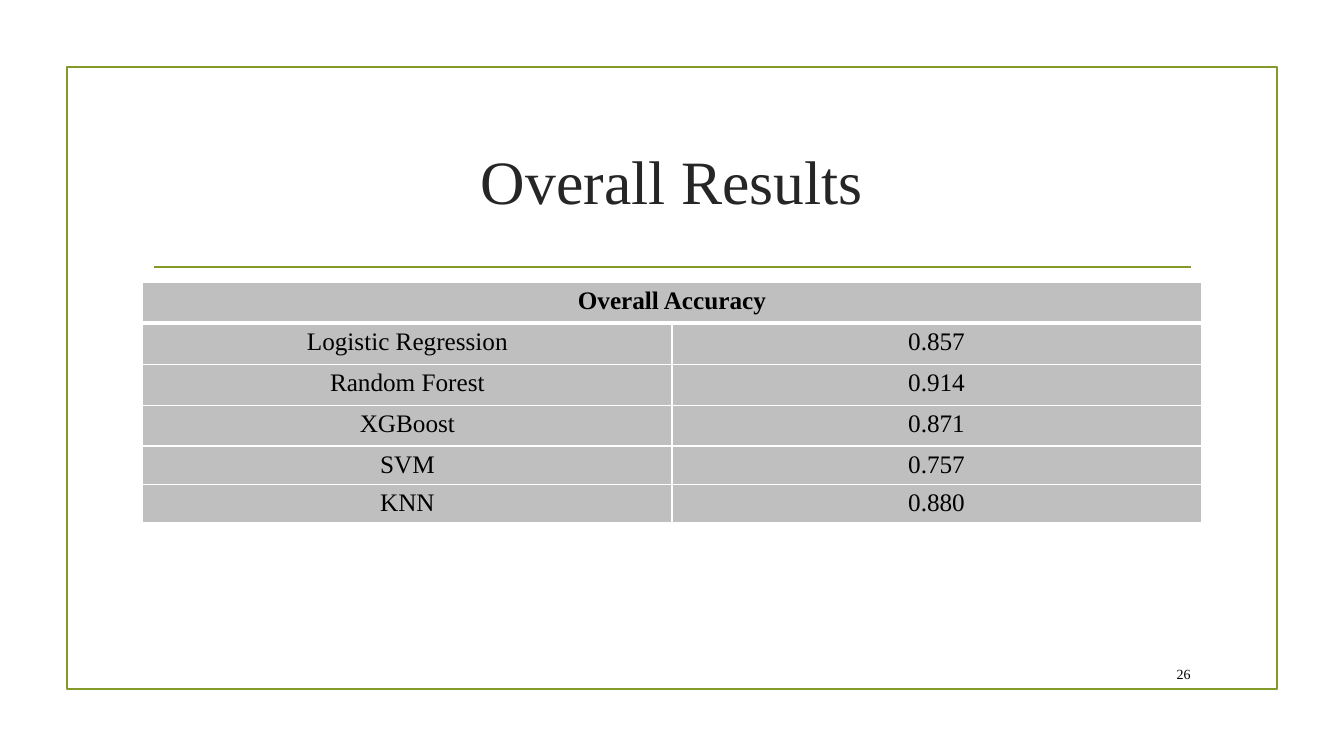
"""Build the overall results slide with its accuracy table."""
from dataclasses import dataclass

from lxml.etree import SubElement
from pptx import Presentation
from pptx.dml.color import RGBColor
from pptx.enum.shapes import MSO_CONNECTOR, MSO_SHAPE
from pptx.enum.text import MSO_ANCHOR, PP_ALIGN
from pptx.oxml.ns import qn
from pptx.util import Inches, Length, Pt

OLIVE = RGBColor(0x83, 0x99, 0x2A)
CHARCOAL = RGBColor(0x26, 0x26, 0x26)
BLACK = RGBColor(0, 0, 0)
SILVER = RGBColor(0xBF, 0xBF, 0xBF)
WHITE = RGBColor(0xFF, 0xFF, 0xFF)
FONT = "Times New Roman"
WIDTH, HEIGHT = Inches(13.33), Inches(7.5)
COLUMNS, ROWS = 160, 90
RULE_WIDTH = Pt(1.25)


@dataclass(frozen=True)
class Box:
    """Area in grid columns and rows."""
    col: float
    row: float
    cols: float
    rows: float

    def emu(self) -> tuple[Length, Length, Length, Length]:
        """Return left, top, width and height."""
        return across(self.col), down(self.row), across(self.cols), down(self.rows)


@dataclass(frozen=True)
class Result:
    """One model with its accuracy and row height."""
    model: str
    accuracy: str
    rows: float


HEADER_ROWS = 4.88
RESULTS = (
    Result("Logistic Regression", "0.857", 4.88),
    Result("Random Forest", "0.914", 4.88),
    Result("XGBoost", "0.871", 4.88),
    Result("SVM", "0.757", 4.56),
    Result("KNN", "0.880", 4.56),
)
FRAME = Box(8, 8, 144, 74)
RULE = Box(18.36, 31.8, 123.4, 0)
TITLE = Box(17, 12.84, 126, 17.16)
TABLE = Box(17, 33.6, 126, HEADER_ROWS + sum(res.rows for res in RESULTS))
NUMBER = Box(135.84, 78.36, 7.08, 3.72)


def across(cols: float) -> Length:
    """Convert grid columns to a length."""
    return Length(round(WIDTH * cols / COLUMNS))


def down(rows: float) -> Length:
    """Convert grid rows to a length."""
    return Length(round(HEIGHT * rows / ROWS))


def write(tf, text: str, size: float, color: RGBColor, align: PP_ALIGN, bold: bool = False) -> None:
    """Fill a text frame with one formatted paragraph."""
    tf.text = text
    tf.word_wrap = True
    p = tf.paragraphs[0]
    p.alignment = align
    font = p.runs[0].font
    font.name, font.size, font.bold = FONT, Pt(size), bold
    font.color.rgb = color


def add_frame(s) -> None:
    """Draw the slide border and the rule under the title."""
    sp = s.shapes.add_shape(MSO_SHAPE.RECTANGLE, *FRAME.emu())
    sp.shadow.inherit = False
    sp.fill.background()
    left, top, width, _ = RULE.emu()
    rule = s.shapes.add_connector(MSO_CONNECTOR.STRAIGHT, left, top, left + width, top)
    for outlined in (sp, rule):
        outlined.line.color.rgb = OLIVE
        outlined.line.width = RULE_WIDTH
    SubElement(rule._element.spPr, qn("a:effectLst"))


def add_title(s) -> None:
    """Place the title placeholder."""
    sp = s.shapes.title
    sp.left, sp.top, sp.width, sp.height = TITLE.emu()
    write(sp.text_frame, "Overall Results", 44, CHARCOAL, PP_ALIGN.CENTER)
    sp.text_frame.vertical_anchor = MSO_ANCHOR.MIDDLE


def style_cell(cell, top: float, bottom: float) -> None:
    """Give a cell its white borders and grey fill."""
    tc_pr = cell._tc.get_or_add_tcPr()
    for side, width in (("L", 1), ("R", 1), ("T", top), ("B", bottom)):
        ln = SubElement(tc_pr, qn(f"a:ln{side}"), w=str(Pt(width)))
        fill = SubElement(ln, qn("a:solidFill"))
        SubElement(fill, qn("a:srgbClr"), val=str(WHITE))
    cell.fill.solid()
    cell.fill.fore_color.rgb = SILVER


def add_results(s) -> None:
    """Draw the accuracy table."""
    table = s.shapes.add_table(len(RESULTS) + 1, 2, *TABLE.emu()).table
    for row, rows in zip(table.rows, (HEADER_ROWS, *(res.rows for res in RESULTS))):
        row.height = down(rows)
    for i, row in enumerate(table.rows):
        for cell in row.cells:
            style_cell(cell, 3 if i == 1 else 1, 3 if i == 0 else 1)
    header = table.cell(0, 0)
    header.merge(table.cell(0, 1))
    write(header.text_frame, "Overall Accuracy", 18, BLACK, PP_ALIGN.CENTER, True)
    for i, res in enumerate(RESULTS, 1):
        for j, text in enumerate((res.model, res.accuracy)):
            write(table.cell(i, j).text_frame, text, 18, BLACK, PP_ALIGN.CENTER)


def add_number(s) -> None:
    """Place the slide number."""
    tf = s.shapes.add_textbox(*NUMBER.emu()).text_frame
    write(tf, "26", 10, BLACK, PP_ALIGN.RIGHT)
    tf.vertical_anchor = MSO_ANCHOR.MIDDLE


def main() -> None:
    """Build and save the presentation."""
    prs = Presentation()
    prs.slide_width, prs.slide_height = WIDTH, HEIGHT
    s = prs.slides.add_slide(prs.slide_layouts[5])
    s.background.fill.solid()
    s.background.fill.fore_color.rgb = WHITE
    add_frame(s)
    add_title(s)
    add_results(s)
    add_number(s)
    prs.save("out.pptx")


if __name__ == "__main__":
    main()
